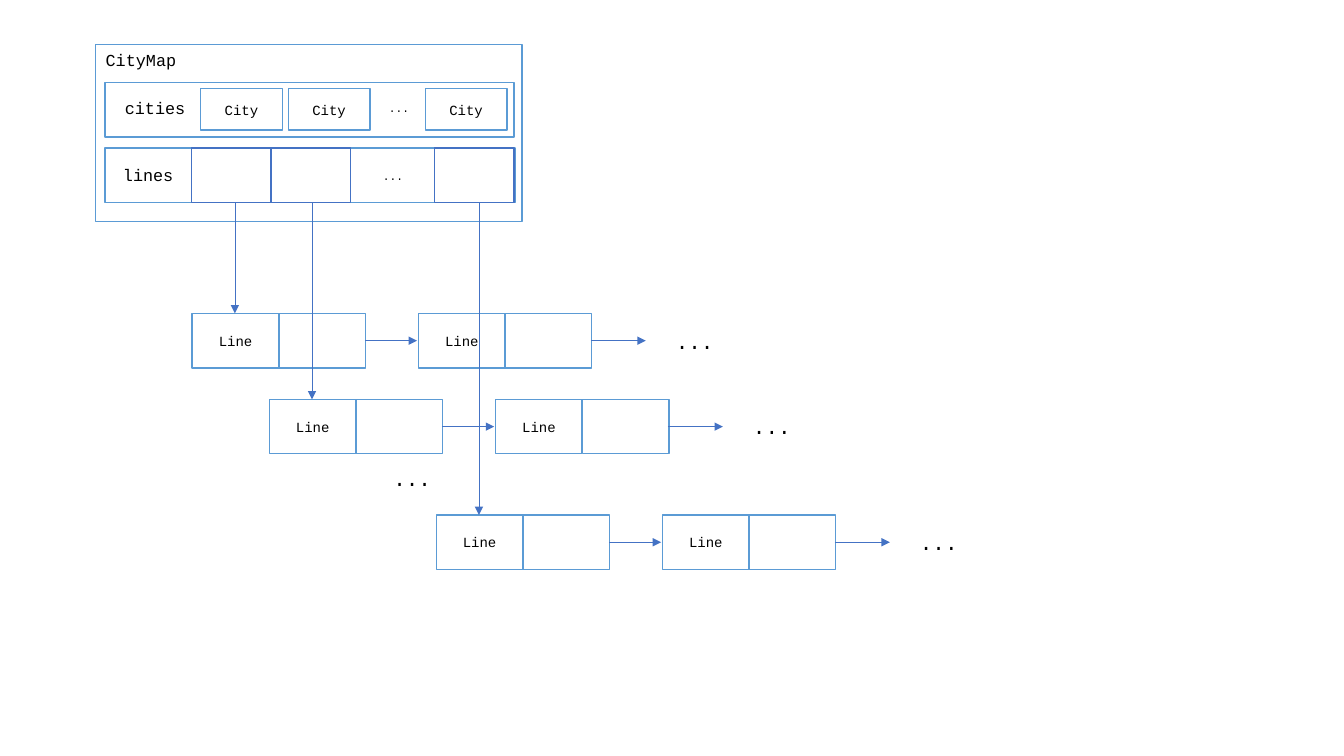
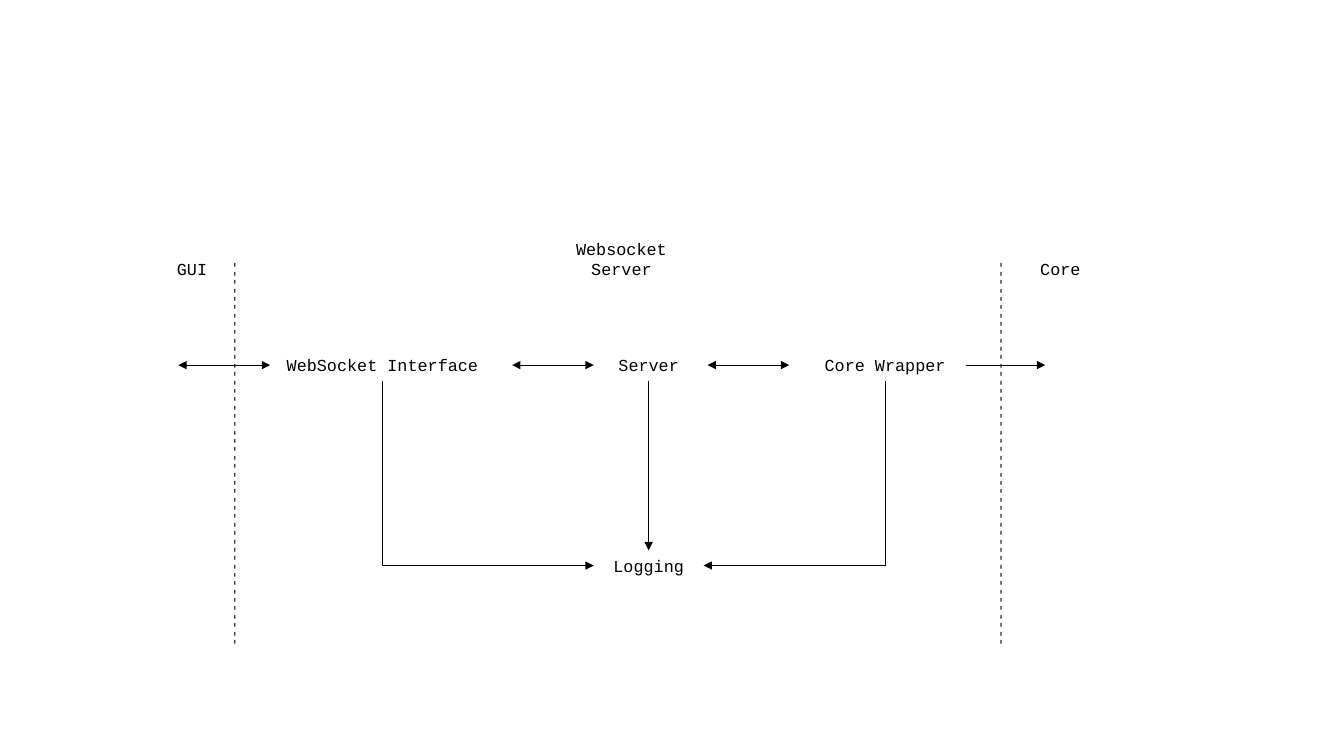
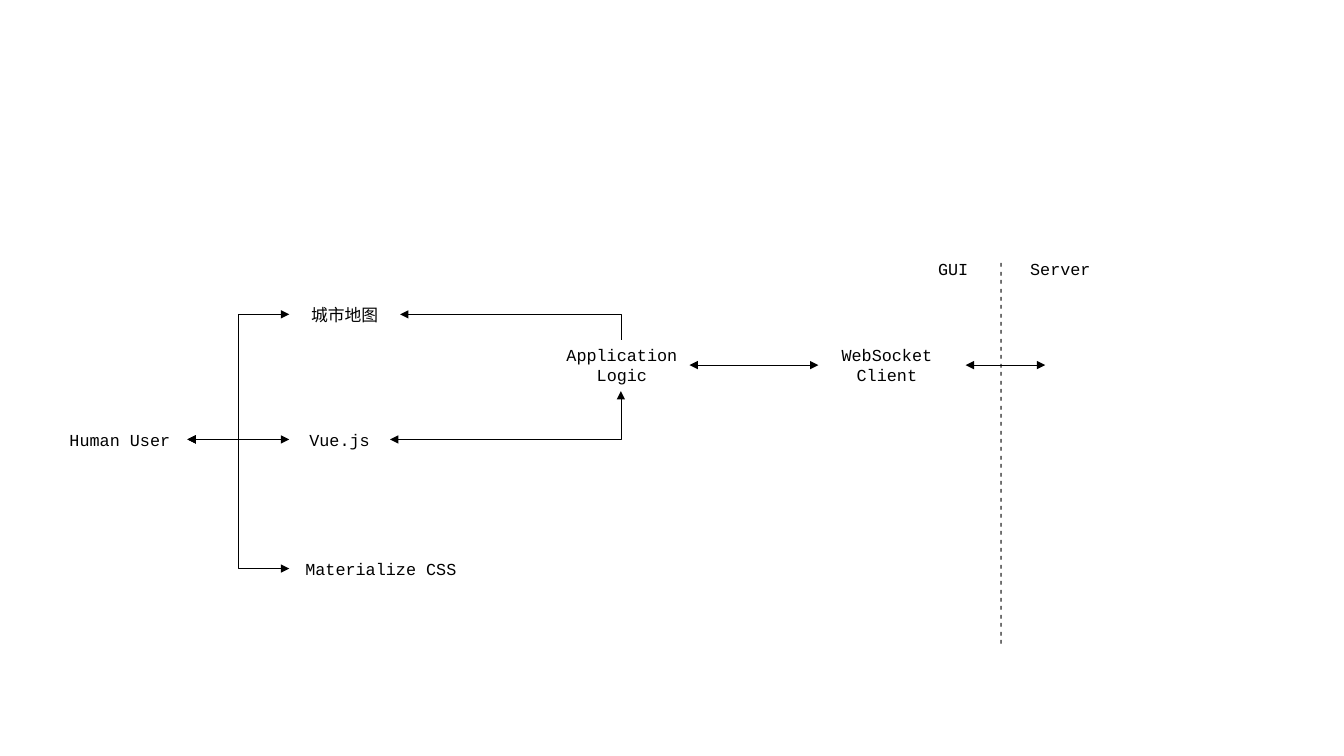
import pptx
import pptx.util
import pptx.dml.color
import pptx.enum.shapes
import pptx.enum.text
import pptx.oxml.ns
import lxml.etree

Pt = pptx.util.Pt
qn = pptx.oxml.ns.qn
SHAPES = pptx.enum.shapes.MSO_SHAPE
CONNECTORS = pptx.enum.shapes.MSO_CONNECTOR
ALIGN = pptx.enum.text.PP_ALIGN
ANCHOR = pptx.enum.text.MSO_ANCHOR

COLORS = {"paper": "FFFFFF", "ink": "000000", "box": "5B9BD5", "pointer": "4472C4"}
MONO = "Courier New"
CJK = "Noto Sans CJK SC"


def rgb(name):
    """Return the named colour of the deck."""
    return pptx.dml.color.RGBColor.from_string(COLORS[name])


def write(frame, text, size=12, font=MONO, align=ALIGN.CENTER,
          anchor=ANCHOR.MIDDLE, wrap=True):
    """Write one formatted paragraph into a text frame."""
    frame.word_wrap = wrap
    frame.vertical_anchor = anchor
    paragraph = frame.paragraphs[0]
    paragraph.alignment = align
    run = paragraph.add_run()
    run.text = text
    run.font.size = Pt(size)
    run.font.name = font
    run.font.color.rgb = rgb("ink")
    east_asian = lxml.etree.SubElement(run.font._element, qn("a:ea"))
    east_asian.set("typeface", font)


class Diagram:
    """Draws diagram parts, measured in points, on the current slide."""

    def __init__(self, width, height):
        """Start a presentation of the given size."""
        self.deck = pptx.Presentation()
        self.deck.slide_width = Pt(width)
        self.deck.slide_height = Pt(height)
        self.shapes = None

    def new_slide(self):
        """Add a blank slide and make it current."""
        self.shapes = self.deck.slides.add_slide(self.deck.slide_layouts[6]).shapes

    def box(self, x, y, width, height, text="", outline="box", **text_format):
        """Draw a white rectangle, outlined unless outline is None."""
        rect = self.shapes.add_shape(
            SHAPES.RECTANGLE, Pt(x), Pt(y), Pt(width), Pt(height))
        rect.shadow.inherit = False
        rect.fill.solid()
        rect.fill.fore_color.rgb = rgb("paper")
        if outline:
            rect.line.color.rgb = rgb(outline)
            rect.line.width = Pt(1)
        else:
            rect.line.fill.background()
        if text:
            write(rect.text_frame, text, **text_format)

    def label(self, x, y, width, text, height=21.6, **text_format):
        """Place text without a box and return its frame."""
        frame = self.shapes.add_textbox(
            Pt(x), Pt(y), Pt(width), Pt(height)).text_frame
        write(frame, text, **text_format)
        return frame

    def divider(self, x):
        """Draw a vertical border of dashes between two components."""
        frame = self.label(x, 181.4, 26.6, "-" * 46, height=285.8, size=10,
                           anchor=ANCHOR.TOP, wrap=False)
        frame._txBody.bodyPr.set("vert", "vert270")

    def arrow(self, x1, y1, x2, y2, color="ink", head=False, tail=True,
              kind=CONNECTORS.STRAIGHT):
        """Draw a connector with a triangle at its head, its tail or both."""
        link = self.shapes.add_connector(kind, Pt(x1), Pt(y1), Pt(x2), Pt(y2))
        link.line.color.rgb = rgb(color)
        link.line.width = Pt(0.5)
        properties = link._element.spPr
        outline = properties.find(qn("a:ln"))
        for end, shown in (("a:headEnd", head), ("a:tailEnd", tail)):
            if shown:
                lxml.etree.SubElement(outline, qn(end)).set("type", "triangle")
        lxml.etree.SubElement(properties, qn("a:effectLst"))
        return link

    def corner(self, x1, y1, x2, y2, **ends):
        """Draw a connector that runs sideways, then turns once."""
        link = self.arrow(x1, y1, x2, y2, kind=CONNECTORS.ELBOW, **ends)
        link._element.spPr.find(qn("a:prstGeom")).set("prst", "bentConnector2")


def line_list(diagram, x, y):
    """Draw one linked list of lines and the pointer that leads to it."""
    cell, height, node_step = 61.9, 38.9, 161.6
    middle = y + height / 2
    for node in (x, x + node_step):
        diagram.box(node, y, cell, height, "Line", size=10)
        diagram.box(node + cell, y, cell, height)
    diagram.box(x + 328, y + 6.8, cell, 25.2, "...", outline=None, size=15)
    for start, end in ((123.5, 160.6), (284.7, 324)):
        diagram.arrow(x + start, middle, x + end, middle, color="pointer")
    diagram.arrow(x + 30.5, 144.7, x + 30.5, y, color="pointer")


def city_map_slide(diagram):
    """Show how the city map stores its cities and lines."""
    diagram.new_slide()
    diagram.box(68.4, 31.7, 304.6, 126.7)
    diagram.label(68.4, 31.7, 77, "CityMap", align=ALIGN.LEFT, anchor=ANCHOR.TOP)
    diagram.box(74.9, 59, 292.3, 38.9)
    diagram.label(82.1, 66.2, 77, "cities", align=ALIGN.LEFT, anchor=ANCHOR.TOP)
    for x in (143.3, 205.9, 303.8):
        diagram.box(x, 63.4, 58.3, 29.5, "City", size=10)
    diagram.box(74.9, 105.8, 61.9, 38.9, "lines")
    diagram.box(136.8, 105.8, 231.1, 38.9)
    for x in (136.8, 193.7, 310.3):
        diagram.box(x, 105.8, 56.9, 38.9, outline="pointer")
    for x, y in ((270.7, 64.8), (266.4, 113)):
        diagram.box(x, y, 31, 25.2, "...", outline=None, size=8, align=ALIGN.LEFT)
    for x, y in ((137.3, 223.9), (192.4, 285.3), (311.6, 367.9)):
        line_list(diagram, x, y)
    diagram.box(263.5, 329, 61.9, 25.2, "...", outline=None, size=15)


def server_slide(diagram):
    """Show the parts of the server between GUI and core."""
    diagram.new_slide()
    row, log_row, below = 260.8, 404, 272.2
    for x, width, name in ((180.7, 185, "WebSocket Interface"),
                           (424.1, 78.5, "Server"),
                           (560.9, 142.6, "Core Wrapper")):
        diagram.label(x, 249.8, width, name)
    diagram.label(424.1, 393.1, 78.5, "Logging")
    diagram.label(395.3, 167, 97.2, "Websocket Server", height=36)
    diagram.label(114.5, 181.4, 45.4, "GUI")
    diagram.label(720.7, 181.4, 73.4, "Core")
    for x in (157, 704.2):
        diagram.divider(x)
    for start, end in ((127.4, 193), (365.8, 424.1), (505.4, 563.8)):
        diagram.arrow(start, row, end, row, head=True)
    diagram.arrow(689.8, row, 746.6, row)
    diagram.arrow(463.3, below, 463.3, 393.1)
    for log_side, source in ((424.1, 273.2), (502.6, 632.2)):
        diagram.corner(log_side, log_row, source, below, head=True, tail=False)


def gui_slide(diagram):
    """Show the parts of the GUI between user and server."""
    diagram.new_slide()
    row, map_row, view_row, style_row = 260.8, 224.6, 313.9, 406.1
    logic = 443.5
    for x, name in ((584.6, "WebSocket Client"), (395.3, "Application Logic")):
        diagram.label(x, 242.6, 97.9, name, height=36)
    diagram.label(206.6, 213.8, 79.2, "城市地图", font=CJK)
    diagram.label(206.6, 303.1, 72, "Vue.js")
    diagram.label(206.6, 395.3, 131, "Materialize CSS")
    diagram.label(36.7, 303.1, 97.9, "Human User")
    diagram.label(632.2, 181.4, 97.2, "GUI")
    diagram.label(720.7, 181.4, 73.4, "Server")
    diagram.divider(704.2)
    for start, end in ((492.5, 584.6), (689.8, 746.6)):
        diagram.arrow(start, row, end, row, head=True)
    diagram.arrow(133.9, view_row, 206.6, view_row, head=True)
    for y in (map_row, style_row):
        diagram.arrow(133.9, view_row, 206.6, y, head=True, kind=CONNECTORS.ELBOW)
    diagram.corner(278.6, view_row, logic, 279.4, head=True)
    diagram.corner(285.8, map_row, logic, 242.6, head=True, tail=False)


diagram = Diagram(960, 540)
city_map_slide(diagram)
server_slide(diagram)
gui_slide(diagram)
diagram.deck.save("out.pptx")
